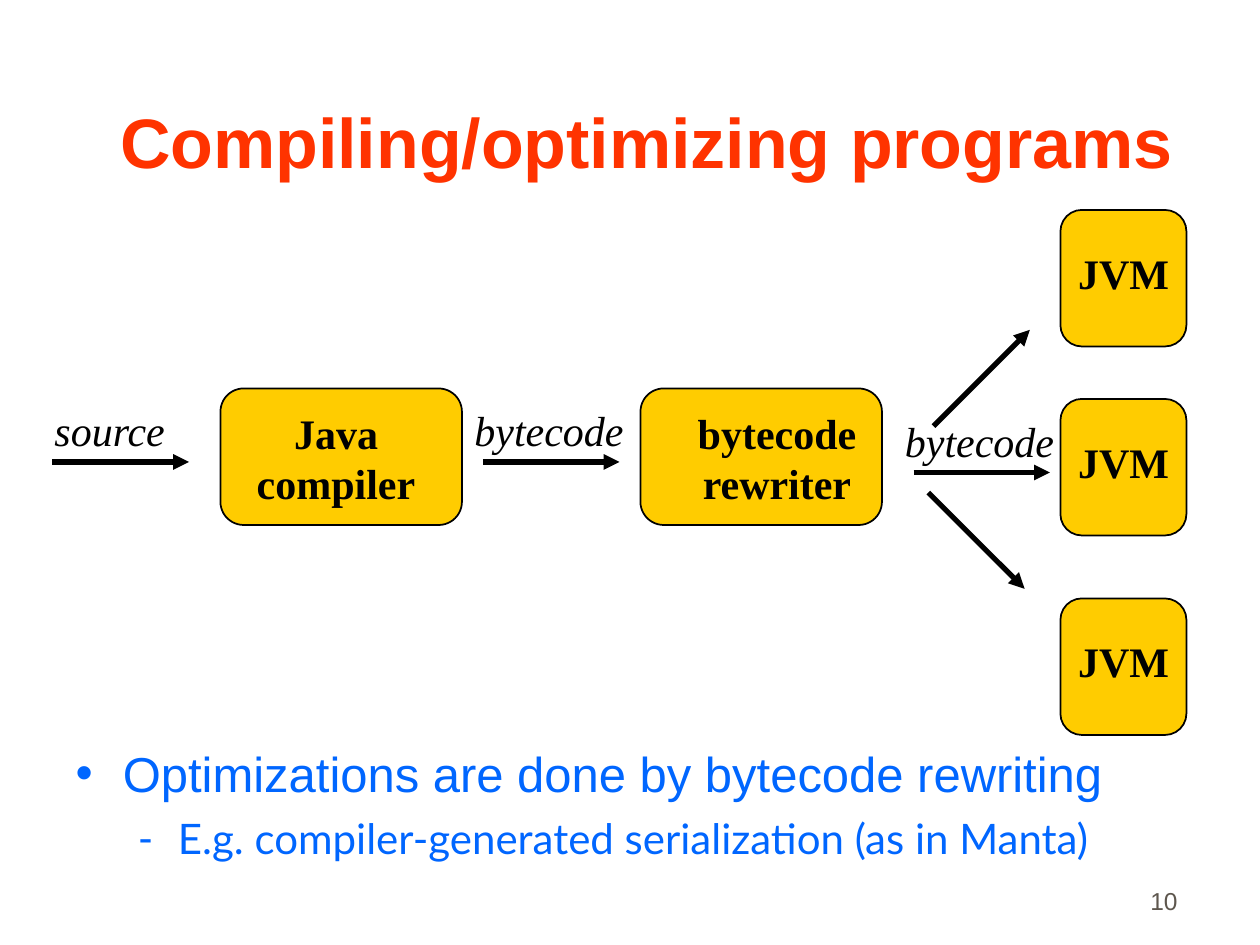
"""Build the slide on compiling and optimizing programs."""
from dataclasses import dataclass

from lxml import etree
from pptx import Presentation
from pptx.dml.color import RGBColor
from pptx.enum import shapes, text
from pptx.oxml import ns
from pptx.util import Pt


@dataclass(frozen=True)
class Theme:
    title: str = "FF3300"
    body: str = "0066FF"
    box: str = "FFCC00"
    ink: str = "000000"
    number: str = "5E574E"
    sans: str = "Arial"
    serif: str = "Times New Roman"
    light: str = "Lato"
    title_size: int = 40
    bullet_size: int = 28
    label_size: int = 24
    number_size: int = 14


theme = Theme()
align = text.PP_ALIGN


def add_run(paragraph, words, font_name, size, color, bold=False, italic=False):
    run = paragraph.add_run()
    run.text = words
    run.font.name = font_name
    run.font.size = Pt(size)
    run.font.color.rgb = RGBColor.from_string(color)
    run.font.bold = bold
    run.font.italic = italic


def add_text_box(left, top, width, height, alignment):
    frame = slide.shapes.add_textbox(Pt(left), Pt(top), Pt(width), Pt(height)).text_frame
    frame.word_wrap = True
    frame.vertical_anchor = text.MSO_ANCHOR.BOTTOM
    frame.paragraphs[0].alignment = alignment
    return frame.paragraphs[0]


presentation = Presentation()
presentation.slide_width = Pt(720)
presentation.slide_height = Pt(540)
slide = presentation.slides.add_slide(presentation.slide_layouts[1])

title = slide.shapes.title
title.left, title.top, title.width, title.height = Pt(31.5), Pt(18), Pt(646), Pt(90)
title.text_frame.vertical_anchor = text.MSO_ANCHOR.BOTTOM
title.text_frame.auto_size = text.MSO_AUTO_SIZE.NONE
paragraph = title.text_frame.paragraphs[0]
paragraph.alignment = align.RIGHT
add_run(paragraph, "Compiling/optimizing programs", theme.sans, theme.title_size, theme.title, bold=True)

stages = [(126, 222, 138), (366, 222, 138)]
machines = [(606, top, 72) for top in (120, 228, 342)]
for left, top, width in stages + machines:
    box = slide.shapes.add_shape(
        shapes.MSO_SHAPE.ROUNDED_RECTANGLE, Pt(left), Pt(top), Pt(width), Pt(78))
    box.adjustments[0] = 0.17
    box.shadow.inherit = False
    box.fill.solid()
    box.fill.fore_color.rgb = RGBColor.from_string(theme.box)
    box.line.color.rgb = RGBColor.from_string(theme.ink)
    box.line.width = Pt(1)

captions = [(("Java", "compiler"), 132, 229, 120, 65), (("bytecode", "rewriter"), 384, 229, 120, 65)]
captions += [(("JVM",), left - 12, top + 17.5, 96, 36) for left, top, width in machines]
for lines, *place in captions:
    paragraph = add_text_box(*place, align.CENTER)
    for index, line in enumerate(lines):
        if index:
            paragraph.add_line_break()
        add_run(paragraph, line, theme.serif, theme.label_size, theme.ink, bold=True)

arrows = [
    (30, 264, 108, 264),
    (276, 264, 354, 264),
    (522, 270, 600, 270),
    (530.5, 281.5, 585.5, 336.5),
    (533.5, 243.5, 588.5, 188.5),
]
for ends in arrows:
    arrow = slide.shapes.add_connector(shapes.MSO_CONNECTOR.STRAIGHT, *map(Pt, ends))
    arrow.line.color.rgb = RGBColor.from_string(theme.ink)
    arrow.line.width = Pt(3)
    etree.SubElement(arrow.line._get_or_add_ln(), ns.qn("a:tailEnd"), type="triangle")
    etree.SubElement(arrow._element.spPr, ns.qn("a:effectLst"))

for words, left, top, width in [
    ("source", 24, 227.5, 90),
    ("bytecode", 264, 227.5, 132),
    ("bytecode", 510, 234, 132),
]:
    paragraph = add_text_box(left, top, width, 36, align.LEFT)
    add_run(paragraph, words, theme.serif, theme.label_size, theme.ink, italic=True)

body = slide.placeholders[1]
body.left, body.top, body.width, body.height = Pt(36), Pt(421), Pt(672), Pt(84)
body.text_frame.auto_size = text.MSO_AUTO_SIZE.NONE
bullets = [
    ("Optimizations are done by bytecode rewriting", "•", 27, 27, 0, theme.sans, theme.bullet_size),
    ("E.g. compiler-generated serialization (as in Manta)", "-", 58.5, 22.5, 6, theme.light, theme.label_size),
]
for level, (words, mark, margin, hanging, space, font_name, size) in enumerate(bullets):
    paragraph = body.text_frame.add_paragraph() if level else body.text_frame.paragraphs[0]
    paragraph.level = level
    paragraph.space_before = Pt(space)
    properties = paragraph._p.get_or_add_pPr()
    properties.set("marL", str(Pt(margin)))
    properties.set("indent", str(-Pt(hanging)))
    bullet_color = etree.SubElement(properties, ns.qn("a:buClr"))
    etree.SubElement(bullet_color, ns.qn("a:srgbClr"), val=theme.body)
    etree.SubElement(properties, ns.qn("a:buChar"), char=mark)
    add_run(paragraph, words, font_name, size, theme.body)

paragraph = add_text_box(530, 490.5, 150, 36, align.RIGHT)
add_run(paragraph, "10", theme.sans, theme.number_size, theme.number)

presentation.save("out.pptx")
